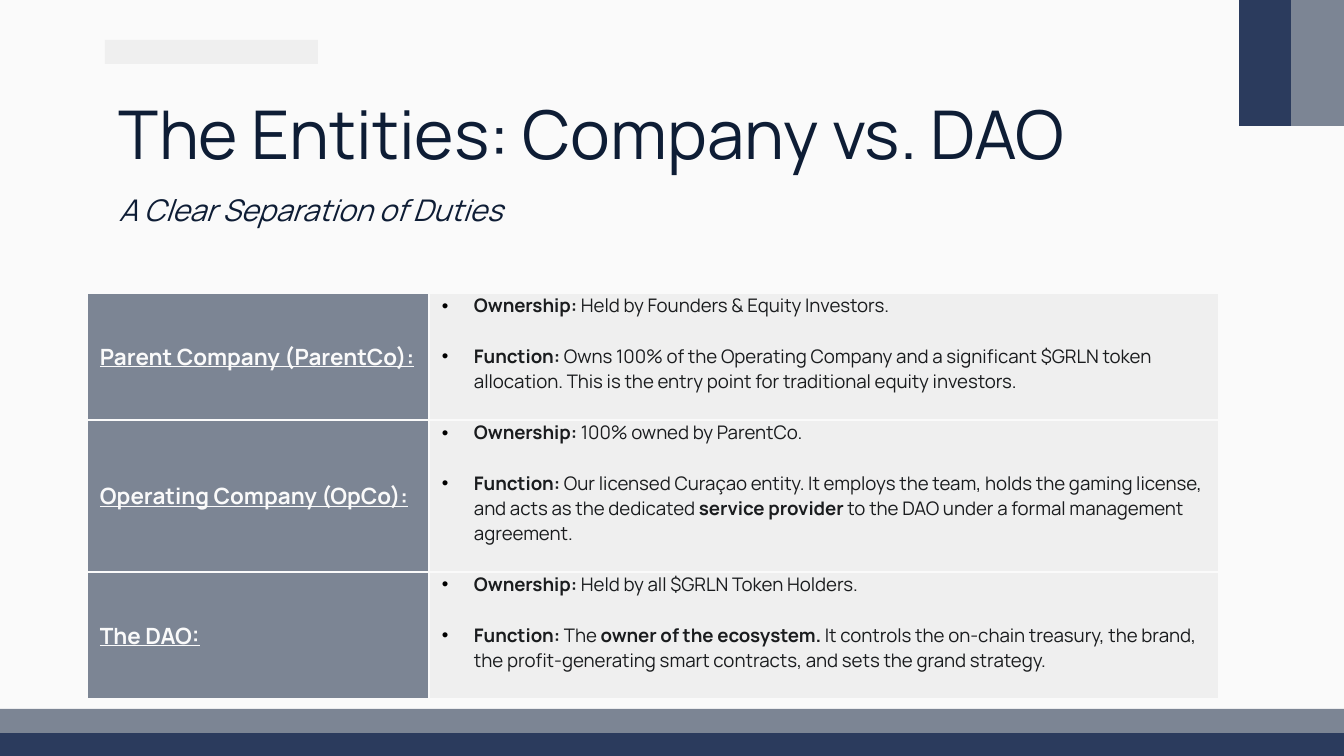
from dataclasses import dataclass

import pptx
import pptx.dml.color
import pptx.enum.shapes
import pptx.enum.text
import pptx.oxml
import pptx.oxml.ns
import pptx.util

EMU_PER_PX = 914400 / 134.4
SLIDE_WIDTH, SLIDE_HEIGHT = 1344, 756
PADDING = 13
BULLET_INDENT = 32
TABLE_LEFT, TABLE_TOP = 87, 293
COLUMN_WIDTHS = (342, 790)


@dataclass(frozen=True)
class Theme:
    font: str = "Manrope"
    paper: str = "FAFAFA"
    pale: str = "EFEFEF"
    slate: str = "7C8594"
    navy: str = "2B3B5D"
    heading: str = "0E1D35"
    body: str = "1A1C1E"
    bullet: str = "000000"
    title_size: int = 36
    subtitle_size: int = 16
    label_size: int = 12
    body_size: int = 10
    paragraph_gap: float = 13.5
    border: float = 1.5


@dataclass(frozen=True)
class Bar:
    left: int
    top: int
    width: int
    height: int
    color: str


@dataclass(frozen=True)
class Heading:
    text: str
    top: int
    height: int
    size: int
    italic: bool = False


@dataclass(frozen=True)
class Span:
    text: str
    bold: bool = False


@dataclass(frozen=True)
class Entity:
    name: str
    ownership: str
    function: tuple[Span, ...]
    height: int


THEME = Theme()

BARS = (
    Bar(105, 40, 213, 24, THEME.pale),
    Bar(0, 733, SLIDE_WIDTH, 23, THEME.navy),
    Bar(0, 709, SLIDE_WIDTH, 24, THEME.slate),
    Bar(1291, 0, 53, 126, THEME.slate),
    Bar(1239, 0, 52, 126, THEME.navy),
)

HEADINGS = (
    Heading("The Entities: Company vs. DAO", 79, 85, THEME.title_size),
    Heading("A Clear Separation of Duties", 179, 54, THEME.subtitle_size, True),
)

ENTITIES = (
    Entity(
        "Parent Company (ParentCo):",
        "Held by Founders & Equity Investors.",
        (Span(" Owns 100% of the Operating Company and a significant $GRLN token "
              "allocation. This is the entry point for traditional equity investors."),),
        127,
    ),
    Entity(
        "Operating Company (OpCo):",
        "100% owned by ParentCo.",
        (Span(" Our licensed Curaçao entity. It employs the team, holds the gaming "
              "license, and acts as the dedicated "),
         Span("service provider", True),
         Span(" to the DAO under a formal management agreement.")),
        152,
    ),
    Entity(
        "The DAO:",
        "Held by all $GRLN Token Holders.",
        (Span(" The "),
         Span("owner of the ecosystem.", True),
         Span(" It controls the on-chain treasury, the brand, the profit-generating "
              "smart contracts, and sets the grand strategy.")),
        127,
    ),
)


def px(length: int) -> pptx.util.Emu:
    return pptx.util.Emu(round(length * EMU_PER_PX))


def rgb(color: str) -> pptx.dml.color.RGBColor:
    return pptx.dml.color.RGBColor.from_string(color)


def paint(fill, color: str) -> None:
    fill.solid()
    fill.fore_color.rgb = rgb(color)


def style(paragraph, size: int, color: str) -> None:
    paragraph.font.name = THEME.font
    paragraph.font.size = pptx.util.Pt(size)
    paragraph.font.color.rgb = rgb(color)


def draw_bar(page, bar: Bar) -> None:
    shape = page.shapes.add_shape(
        pptx.enum.shapes.MSO_SHAPE.RECTANGLE,
        px(bar.left), px(bar.top), px(bar.width), px(bar.height))
    shape.shadow.inherit = False
    paint(shape.fill, bar.color)
    shape.line.fill.background()


def draw_heading(page, heading: Heading) -> None:
    box = page.shapes.add_textbox(px(106), px(heading.top), px(1133), px(heading.height))
    frame = box.text_frame
    frame.word_wrap = True
    frame.margin_left = frame.margin_right = px(PADDING)
    frame.margin_top = frame.margin_bottom = px(PADDING)
    para = frame.paragraphs[0]
    para.text = heading.text
    style(para, heading.size, THEME.heading)
    para.font.italic = heading.italic


def prepare_cell(cell, color: str) -> None:
    cell.margin_left = cell.margin_right = px(PADDING)
    cell.margin_top = cell.margin_bottom = 0
    properties = cell._tc.get_or_add_tcPr()
    for side in ("lnL", "lnR", "lnT", "lnB"):
        properties.append(pptx.oxml.parse_xml(
            f'<a:{side} {pptx.oxml.ns.nsdecls("a")} w="{pptx.util.Pt(THEME.border)}">'
            f'<a:solidFill><a:srgbClr val="{THEME.paper}"/></a:solidFill></a:{side}>'))
    paint(cell.fill, color)


def write_bullet(para, spans: tuple[Span, ...]) -> None:
    style(para, THEME.body_size, THEME.body)
    for span in spans:
        run = para.add_run()
        run.text = span.text
        run.font.bold = span.bold
    properties = para._p.get_or_add_pPr()
    properties.set("marL", str(px(BULLET_INDENT)))
    properties.set("indent", str(-px(BULLET_INDENT)))
    namespace = pptx.oxml.ns.nsdecls("a")
    marks = (
        f'<a:buClr {namespace}><a:srgbClr val="{THEME.bullet}"/></a:buClr>',
        f'<a:buFont {namespace} typeface="Arial"/>',
        f'<a:buChar {namespace} char="•"/>',
    )
    defaults = properties.find(pptx.oxml.ns.qn("a:defRPr"))
    for mark in marks:
        defaults.addprevious(pptx.oxml.parse_xml(mark))


def fill_row(label, details, entity: Entity) -> None:
    prepare_cell(label, THEME.slate)
    label.vertical_anchor = pptx.enum.text.MSO_ANCHOR.MIDDLE
    para = label.text_frame.paragraphs[0]
    para.text = entity.name
    style(para, THEME.label_size, THEME.paper)
    para.font.bold = True
    para.font.underline = True

    prepare_cell(details, THEME.pale)
    details.vertical_anchor = pptx.enum.text.MSO_ANCHOR.TOP
    frame = details.text_frame
    write_bullet(frame.paragraphs[0], (Span("Ownership:", True), Span(" " + entity.ownership)))
    function = frame.add_paragraph()
    function.space_before = pptx.util.Pt(THEME.paragraph_gap)
    write_bullet(function, (Span("Function:", True), *entity.function))


def draw_table(page, entities: tuple[Entity, ...]) -> None:
    height = sum(entity.height for entity in entities)
    table = page.shapes.add_table(
        len(entities), len(COLUMN_WIDTHS), px(TABLE_LEFT), px(TABLE_TOP),
        px(sum(COLUMN_WIDTHS)), px(height)).table
    table.first_row = table.horz_banding = False
    for column, width in zip(table.columns, COLUMN_WIDTHS):
        column.width = px(width)
    for row, entity in zip(table.rows, entities):
        row.height = px(entity.height)
        fill_row(*row.cells, entity)


def main() -> None:
    deck = pptx.Presentation()
    deck.slide_width, deck.slide_height = px(SLIDE_WIDTH), px(SLIDE_HEIGHT)
    page = deck.slides.add_slide(deck.slide_layouts[6])
    paint(page.background.fill, THEME.paper)
    for bar in BARS:
        draw_bar(page, bar)
    for heading in HEADINGS:
        draw_heading(page, heading)
    draw_table(page, ENTITIES)
    deck.save("out.pptx")


if __name__ == "__main__":
    main()
